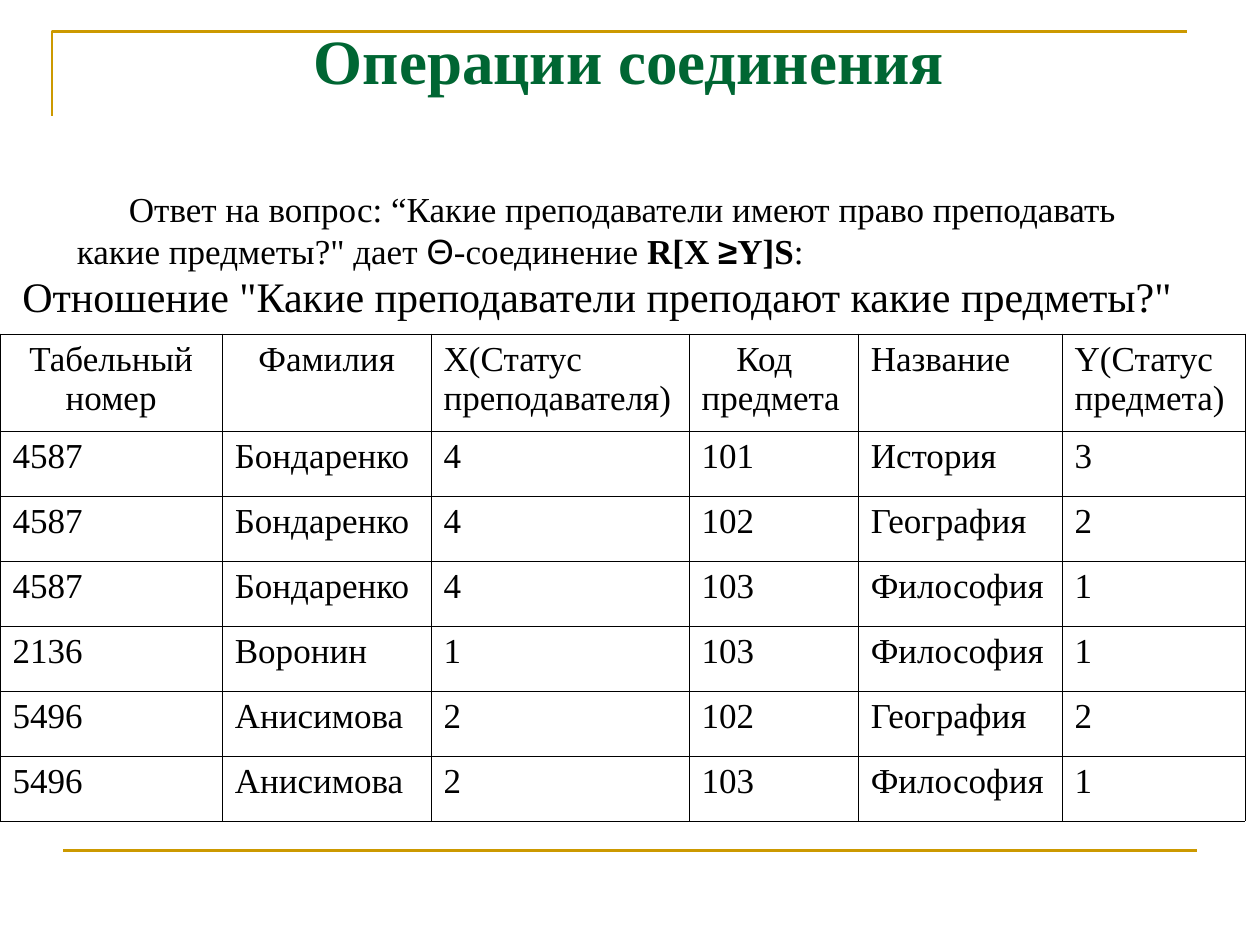
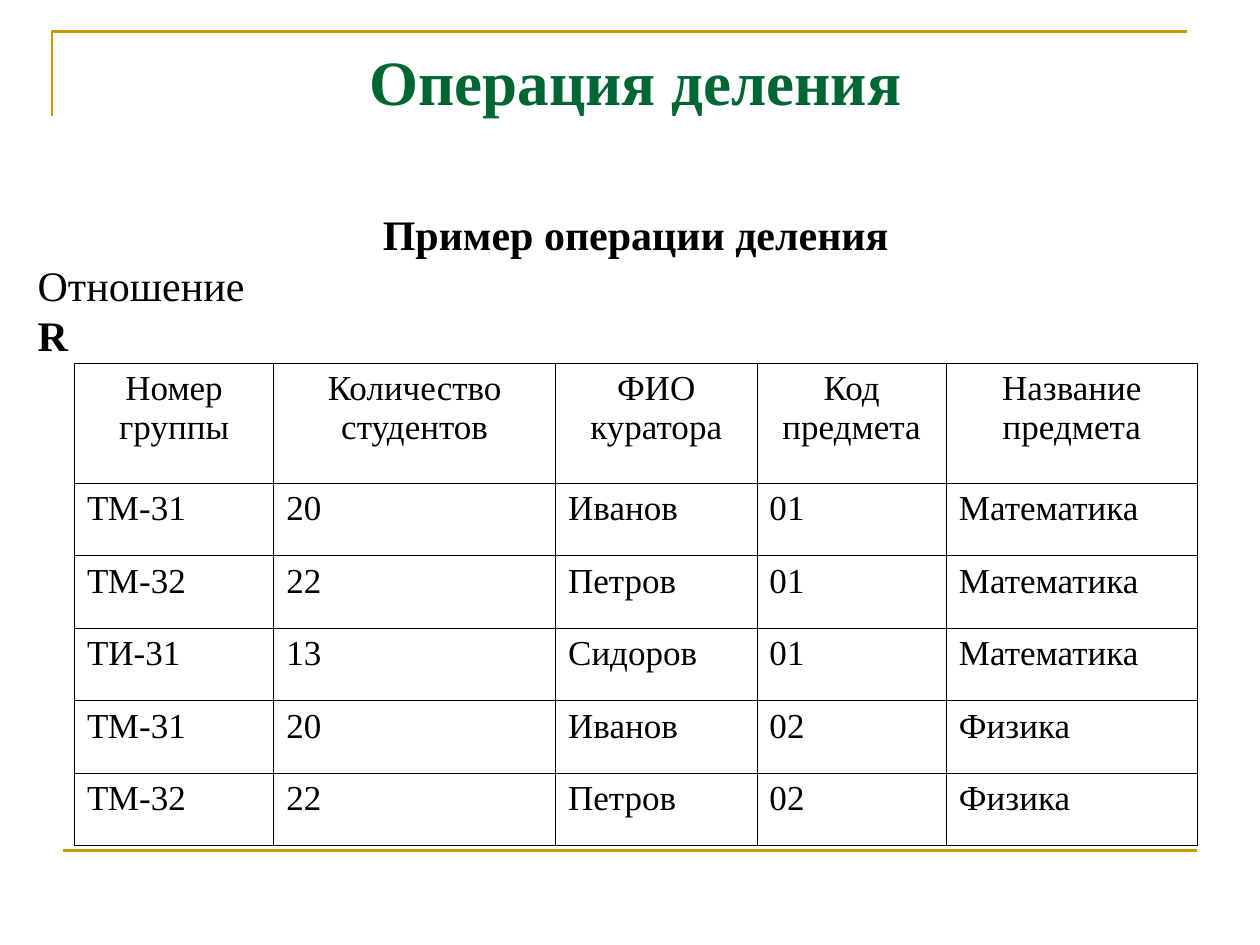
import pptx
import pptx.dml.color
import pptx.enum.shapes
import pptx.enum.text
import pptx.oxml
import pptx.oxml.ns
import pptx.util
from lxml import etree

Cm, Pt = pptx.util.Cm, pptx.util.Pt
RGBColor = pptx.dml.color.RGBColor
ALIGN = pptx.enum.text.PP_ALIGN

GOLD = RGBColor(0xCC, 0x99, 0x00)
GREEN = RGBColor(0x00, 0x66, 0x33)
BLACK = RGBColor(0x00, 0x00, 0x00)
SERIF, SANS = "Times New Roman", "Arial"


def add_text(slide, box, paragraphs):
    """Add a text box; each paragraph is (format, runs), each run (text, bold[, font])."""
    sp = slide.shapes.add_textbox(*(Cm(v) for v in box))
    tf = sp.text_frame
    tf.word_wrap = True
    for i, (fmt, runs) in enumerate(paragraphs):
        p = tf.add_paragraph() if i else tf.paragraphs[0]
        p.alignment = fmt.get("align", ALIGN.LEFT)
        p.line_spacing = fmt.get("spacing", 1.0)
        p.space_before = Pt(fmt.get("before", 0))
        p._p.get_or_add_pPr().set("indent", str(Cm(fmt.get("indent", 0))))
        for text, bold, *font in runs:
            r = p.add_run()
            r.text = text
            r.font.name = font[0] if font else SERIF
            r.font.size = Pt(fmt["size"])
            r.font.bold = bold
            r.font.color.rgb = fmt.get("color", BLACK)


def add_grid(slide, left, top, widths, head_height, row_height, rows, aligns, line_width):
    """Add a table with thin black borders; aligns holds the header's, then the body's."""
    heights = [head_height] + [row_height] * (len(rows) - 1)
    frame = slide.shapes.add_table(len(rows), len(widths), Cm(left), Cm(top),
                                   Cm(sum(widths)), Cm(sum(heights)))
    table = frame.table
    table.first_row = table.horz_banding = False
    for column, width in zip(table.columns, widths):
        column.width = Cm(width)
    for i, (row, height) in enumerate(zip(rows, heights)):
        table.rows[i].height = Cm(height)
        for j, text in enumerate(row):
            cell = table.cell(i, j)
            cell.text_frame.text = text
            for p in cell.text_frame.paragraphs:
                p.alignment = aligns[0][j] if i == 0 else aligns[1]
                for r in p.runs:
                    r.font.name, r.font.size = SERIF, Pt(20)
                    r.font.color.rgb = BLACK
            tc_pr = cell._tc.get_or_add_tcPr()
            for side in ("lnL", "lnR", "lnT", "lnB"):
                tc_pr.append(pptx.oxml.parse_xml(
                    f'<a:{side} xmlns:a="http://schemas.openxmlformats.org/drawingml/2006/main"'
                    f' w="{Pt(line_width)}"><a:solidFill><a:srgbClr val="{BLACK}"/>'
                    f'</a:solidFill></a:{side}>'))
            cell.fill.background()
    return table


prs = pptx.Presentation()
prs.slide_width, prs.slide_height = Cm(25.4), Cm(19.05)
title = {"align": ALIGN.CENTER, "spacing": 0.9, "size": 36, "color": GREEN}

# Gold corner and bottom rule on both slides
slides = []
for _ in range(2):
    slide = prs.slides.add_slide(prs.slide_layouts[6])
    builder = slide.shapes.build_freeform(Cm(1.05), Cm(2.33))
    builder.add_line_segments([(Cm(1.05), Cm(0.63)), (Cm(23.92), Cm(0.63))], close=False)
    corner = builder.convert_to_shape()
    corner.fill.background()
    corner.shadow.inherit = False
    rule = slide.shapes.add_connector(pptx.enum.shapes.MSO_CONNECTOR.STRAIGHT,
                                      Cm(1.27), Cm(17.15), Cm(24.13), Cm(17.15))
    etree.SubElement(rule._element.spPr, pptx.oxml.ns.qn("a:effectLst"))
    for sp in (corner, rule):
        sp.line.color.rgb = GOLD
        sp.line.width = Pt(1.5)
    slides.append(slide)
join_slide, division_slide = slides

# Join operations
add_text(join_slide, (1.3, 0.48, 22.76, 5.03), [
    (title, [("Операции соединения", True)]),
    ({"size": 20, "before": 51, "indent": 1.05}, [
        ("Ответ на вопрос: “Какие преподаватели имеют право преподавать "
         "какие предметы?\" дает ", False),
        ("Θ", False, SANS),
        ("-соединение ", False),
        ("R[X ", True),
        ("≥", True, SANS),
        ("Y]S", True),
        (":", False),
    ]),
])
teachers = add_grid(
    join_slide, 0, 6.73, [4.48, 4.21, 5.2, 3.41, 4.11, 3.69], 1.96, 1.31,
    [
        ("Табельный номер", "Фамилия", "X(Статус преподавателя)",
         "Код\nпредмета", "Название", "Y(Статус предмета)"),
        ("4587", "Бондаренко", "4", "101", "История", "3"),
        ("4587", "Бондаренко", "4", "102", "География", "2"),
        ("4587", "Бондаренко", "4", "103", "Философия", "1"),
        ("2136", "Воронин", "1", "103", "Философия", "1"),
        ("5496", "Анисимова", "2", "102", "География", "2"),
        ("5496", "Анисимова", "2", "103", "Философия", "1"),
    ],
    ([ALIGN.CENTER] * 2 + [ALIGN.JUSTIFY] * 4, ALIGN.JUSTIFY), 0.34)
code_heading = teachers.cell(0, 3).text_frame.paragraphs[0]
code_heading._p.get_or_add_pPr().set("indent", str(Cm(0.7)))
add_text(join_slide, (0, 5.33, 24.9, 1.27), [
    ({"size": 24, "indent": 0.2},
     [("Отношение \"Какие преподаватели преподают какие предметы?\"", False)]),
])

# Division operation
add_text(division_slide, (5.31, 0.91, 15.01, 6.2), [
    (title, [("Операция деления", True)]),
    ({"align": ALIGN.CENTER, "spacing": 0.9, "size": 24, "before": 54},
     [("Пример операции деления", True)]),
])
add_text(division_slide, (0.51, 5.1, 5.1, 2.2), [
    ({"align": ALIGN.JUSTIFY, "size": 24}, [("Отношение ", False), ("R", True)]),
])
add_grid(
    division_slide, 1.5, 7.32, [4.02, 5.68, 4.06, 3.82, 5.06], 2.42, 1.46,
    [
        ("Номер группы", "Количество студентов", "ФИО куратора",
         "Код предмета", "Название предмета"),
        ("ТМ-31", "20", "Иванов", "01", "Математика"),
        ("ТМ-32", "22", "Петров", "01", "Математика"),
        ("ТИ-31", "13", "Сидоров", "01", "Математика"),
        ("ТМ-31", "20", "Иванов", "02", "Физика"),
        ("ТМ-32", "22", "Петров", "02", "Физика"),
    ],
    ([ALIGN.CENTER] * 5, ALIGN.LEFT), 0.45)

prs.save("out.pptx")
